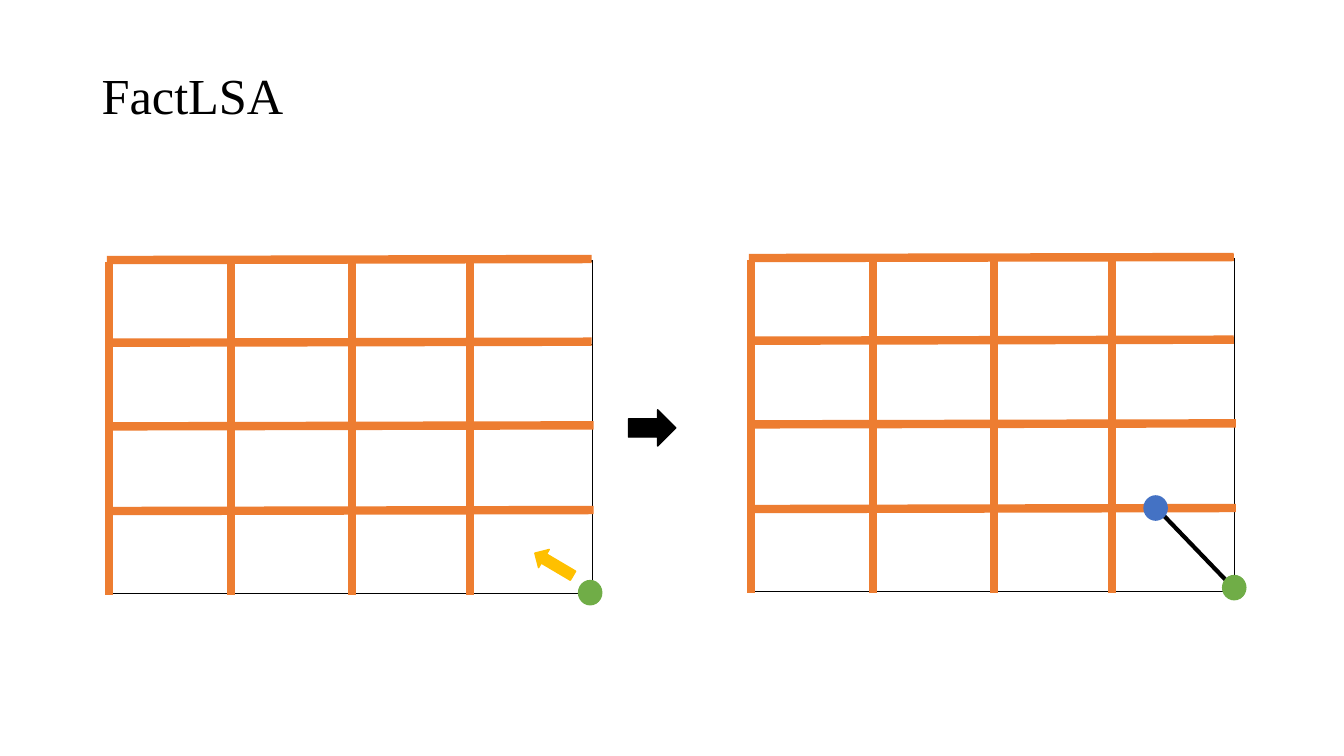
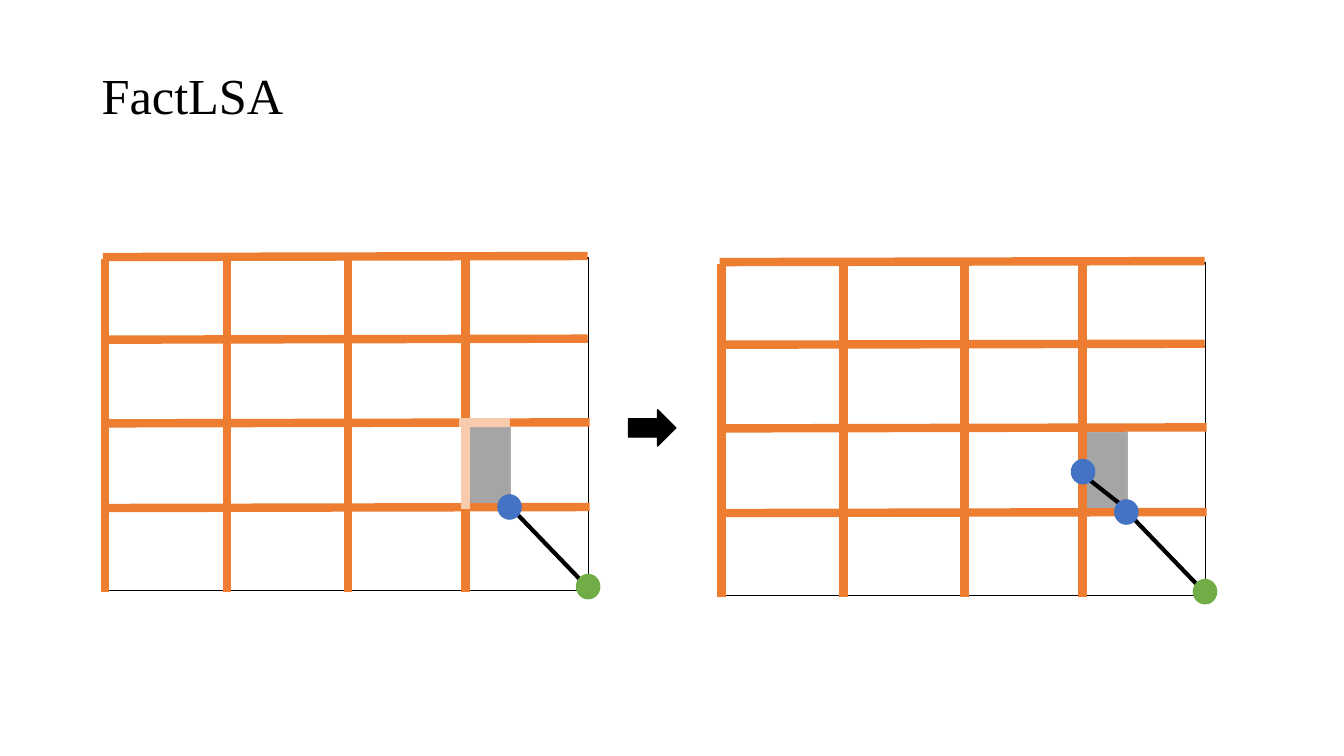
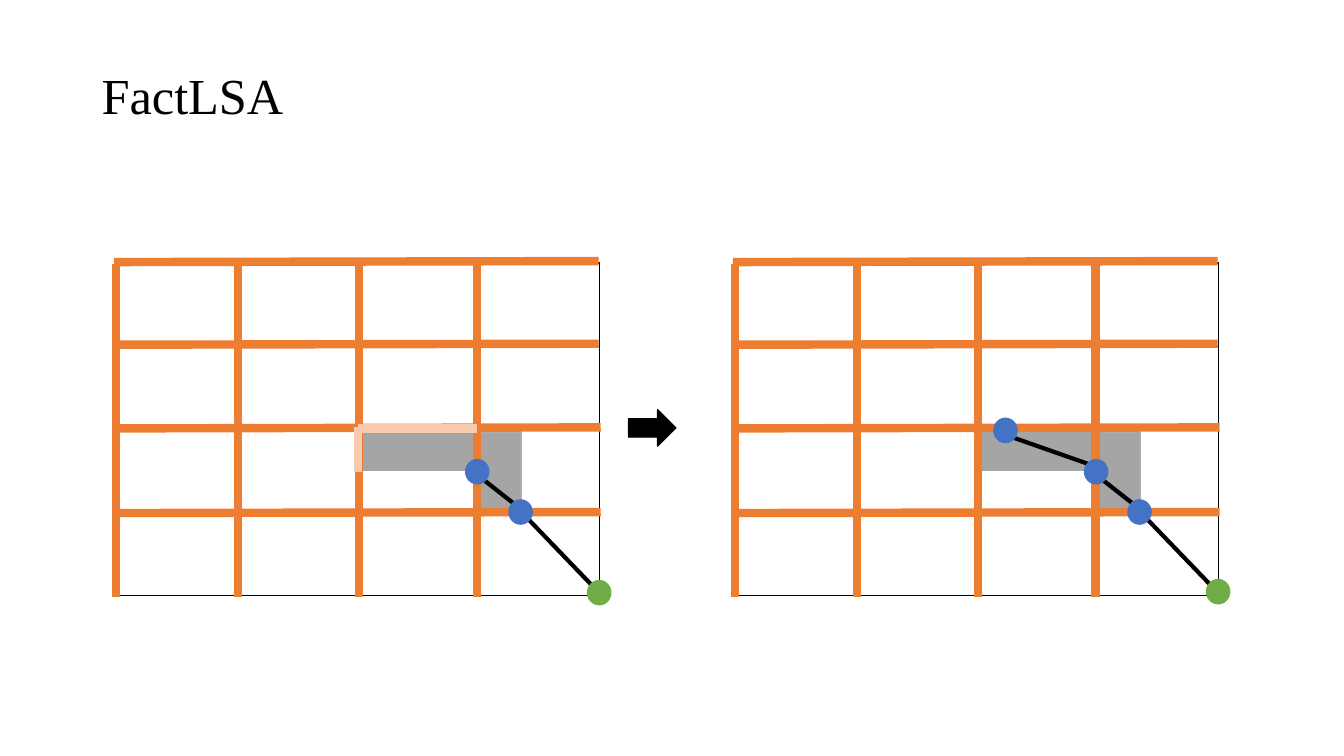
from pptx import Presentation
from pptx.dml.color import RGBColor
from pptx.enum.shapes import MSO_CONNECTOR, MSO_SHAPE as SHP
from pptx.enum.text import MSO_ANCHOR
from pptx.oxml import parse_xml
from pptx.oxml.ns import nsdecls
from pptx.util import Pt

PX = 9144  # 100 px to the inch

BLACK = RGBColor(0x00, 0x00, 0x00)
ORANGE = RGBColor(0xED, 0x7D, 0x31)
PEACH = RGBColor(0xF8, 0xCB, 0xAD)
GREEN = RGBColor(0x70, 0xAD, 0x47)
BLUE = RGBColor(0x44, 0x72, 0xC4)
GOLD = RGBColor(0xFF, 0xC0, 0x00)
GREY = RGBColor(0xA5, 0xA5, 0xA5)
EDGE_GREY = RGBColor(0xAF, 0xAB, 0xAB)

FONT = "Times New Roman"
TITLE = "FactLSA"
GRID_W, GRID_H, CELLS = 481, 330, 4
DOT_W, DOT_H = 23, 24

# Everything below is measured from the top left corner of a grid.
COLUMN_RULES = [(x, 1, x, 331) for x in (1, 122, 242, 359)]
ROW_RULES = [(482, 247, 1, 248), (482, 163, 1, 164),
             (480, 80, -1, 81), (480, -2, -1, -1)]
PATH = [(411, 255, 488, 335), (367, 216, 395, 238), (274, 172, 351, 199)]
PATH_DOTS = [(391, 235), (348, 195), (258, 154)]
AREAS = [(359, 168, 44, 80, EDGE_GREY), (241, 168, 118, 37, GREY)]
FIRST_EDGES = [(403, 163, 352, 163), (359, 164, 359, 249)]
SECOND_EDGES = [(241, 163, 241, 207), (359, 164, 241, 164)]

# Per slide, two grids: x, y, start dot, path steps, grey areas, pale edges
SLIDES = [
    [(107, 259, (467, 317), 0, 0, []), (744, 257, (469, 314), 1, 0, [])],
    [(103, 256, (469, 314), 1, 1, FIRST_EDGES),
     (715, 261, (469, 314), 2, 1, [])],
    [(114, 261, (469, 315), 2, 2, SECOND_EDGES),
     (728, 261, (469, 314), 3, 2, [])],
]


def add_box(s, x, y, w, h, text="", preset=None, fill=None, edge=None,
            weight=1, rotation=0, size=36, color=BLACK):
    """Add a preset shape, or a text box when no preset is given."""
    place = [v * PX for v in (x, y, w, h)]
    if preset is None:
        sp = s.shapes.add_textbox(*place)
    else:
        sp = s.shapes.add_shape(preset, *place)
        sp.shadow.inherit = False
        sp.fill.solid()
        sp.fill.fore_color.rgb = fill
        sp.line.color.rgb = edge or fill
        sp.line.width = Pt(weight)
        sp.rotation = rotation
    if text:
        tf = sp.text_frame
        tf.word_wrap = True
        tf.vertical_anchor = MSO_ANCHOR.MIDDLE
        p = tf.paragraphs[0]
        p.line_spacing = 0.9
        r = p.add_run()
        r.text = text
        r.font.name = FONT
        r.font.size = Pt(size)
        r.font.color.rgb = color


def add_lines(s, x, y, lines, color, weight):
    """Add straight lines given as x1, y1, x2, y2 from the corner x, y."""
    for x1, y1, x2, y2 in lines:
        cxn = s.shapes.add_connector(
            MSO_CONNECTOR.STRAIGHT, (x + x1) * PX, (y + y1) * PX,
            (x + x2) * PX, (y + y2) * PX)
        cxn.line.color.rgb = color
        cxn.line.width = Pt(weight)
        cxn._element.spPr.append(
            parse_xml(f"<a:effectLst {nsdecls('a')}/>"))


prs = Presentation()
prs.slide_width, prs.slide_height = 12192000, 750 * PX

for grids in SLIDES:
    s = prs.slides.add_slide(prs.slide_layouts[6])
    add_box(s, 91, 55, 1113, 85, TITLE)
    add_box(s, 629, 401, 36, 47, preset=SHP.DOWN_ARROW, fill=BLACK,
            rotation=270)

    for x, y, start, steps, areas, pale_edges in grids:
        for dx, dy, w, h, edge in reversed(AREAS[:areas]):
            add_box(s, x + dx, y + dy, w, h, preset=SHP.RECTANGLE,
                    fill=GREY, edge=edge, weight=1.5)
        add_lines(s, x, y, PATH[:steps], BLACK, 3)

        table = s.shapes.add_table(CELLS, CELLS, x * PX, y * PX,
                                   GRID_W * PX, GRID_H * PX).table
        table.first_row = table.horz_banding = False
        for cell in table.iter_cells():
            cell.fill.background()
            tcPr = cell._tc.get_or_add_tcPr()
            for i, side in enumerate("LRTB"):
                tcPr.insert(i, parse_xml(
                    f'<a:ln{side} {nsdecls("a")} w="12700"><a:solidFill>'
                    f'<a:srgbClr val="{BLACK}"/></a:solidFill></a:ln{side}>'))

        add_lines(s, x, y, COLUMN_RULES + ROW_RULES, ORANGE, 6)
        add_lines(s, x, y, pale_edges, PEACH, 6)
        dots = [(start, GREEN)] + [(dot, BLUE) for dot in PATH_DOTS[:steps]]
        for (dx, dy), color in dots:
            add_box(s, x + dx, y + dy, DOT_W, DOT_H, preset=SHP.OVAL,
                    fill=color)
        if not steps:
            add_box(s, x + 432, y + 279, 21, 44, preset=SHP.DOWN_ARROW,
                    fill=GOLD, rotation=120.6)

prs.save("out.pptx")
